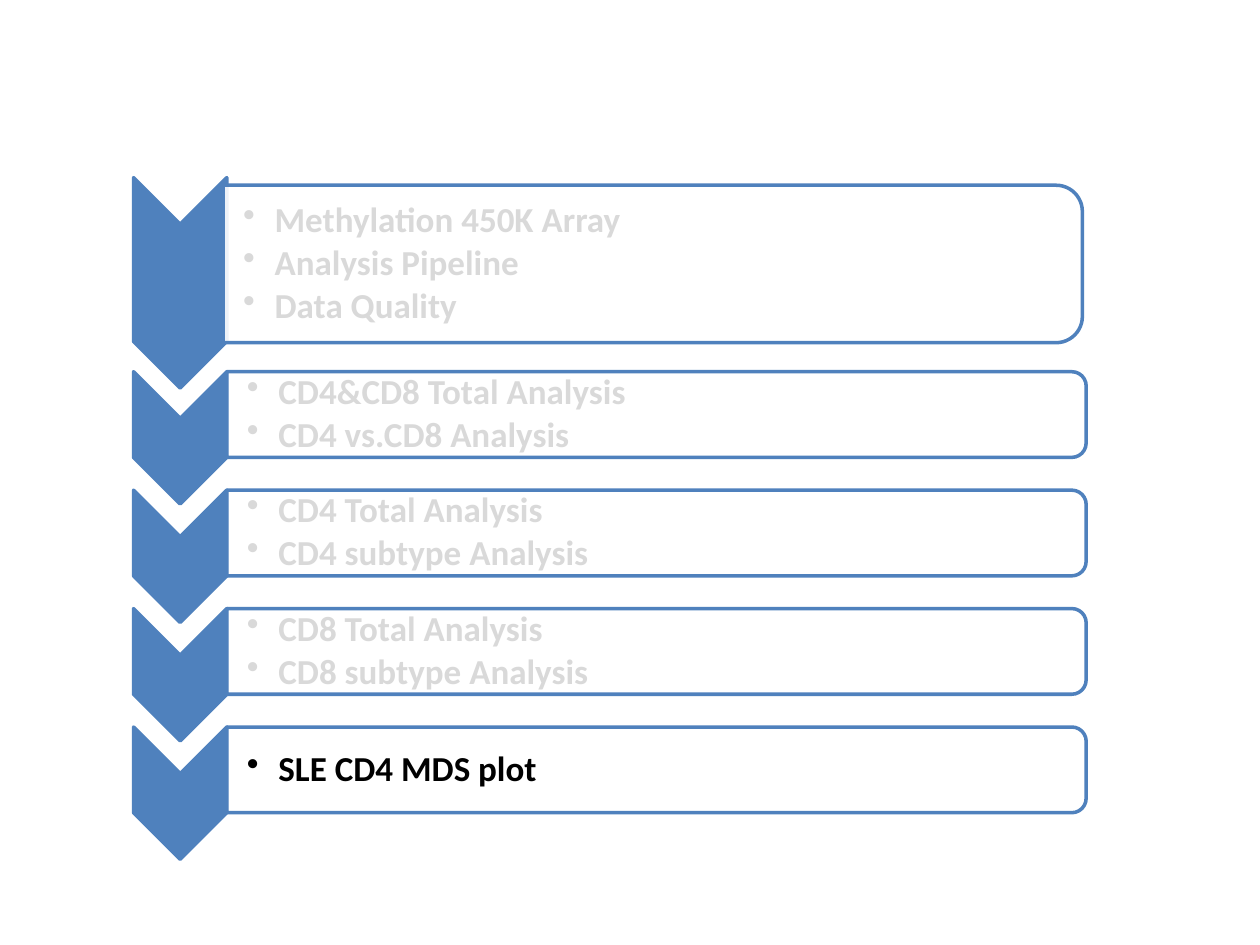
from lxml import etree
from pptx import Presentation
from pptx.dml.color import RGBColor
from pptx.enum.shapes import MSO_SHAPE
from pptx.enum.text import MSO_ANCHOR
from pptx.oxml.ns import qn
from pptx.util import Inches, Pt

CHEVRON = MSO_SHAPE.CHEVRON
ROUND = MSO_SHAPE.ROUND_2_SAME_RECTANGLE
MIDDLE = MSO_ANCHOR.MIDDLE

THEME = {
    "blue": RGBColor(0x4F, 0x81, 0xBD),
    "white": RGBColor(0xFF, 0xFF, 0xFF),
    "faded": RGBColor(0xD9, 0xD9, 0xD9),
    "active": RGBColor(0, 0, 0),
    "font": "Calibri",
    "size": Pt(20),
    "line": Pt(2),
    "gap": Pt(3),
}

STEPS = [
    ("faded", ["Methylation 450K Array", "Analysis Pipeline", "Data Quality"]),
    ("faded", ["CD4&CD8 Total Analysis", "CD4 vs.CD8 Analysis"]),
    ("faded", ["CD4 Total Analysis", "CD4 subtype Analysis"]),
    ("faded", ["CD8 Total Analysis", "CD8 subtype Analysis"]),
    ("active", ["SLE CD4 MDS plot"]),
]

# Sizes in inches; "lift" is how far the panel sits below the arrow's top
TALL = {"arrow": 1.67, "panel": 1.25, "pad": 0.06, "left": 1.77, "lift": 0.06}
SHORT = {"arrow": 1.05, "panel": 0.68, "pad": 0.03, "left": 1.8, "lift": 0}
ARROW_LEFT, ARROW_WIDTH, PANEL_WIDTH = 1.06, 0.74, 6.82
FIRST_TOP, NEXT_TOP, PITCH = 1.41, 2.95, 0.94


def add_turned(slide, kind, left, top, width, height, fill):
    """Add a shape turned 90 degrees that covers the given box once turned."""
    x = left + (width - height) / 2
    y = top + (height - width) / 2
    shape = slide.shapes.add_shape(
        kind, Inches(x), Inches(y), Inches(height), Inches(width))
    shape.rotation = 90
    shape.shadow.inherit = False
    shape.fill.solid()
    shape.fill.fore_color.rgb = fill
    shape.line.color.rgb = THEME["blue"]
    shape.line.width = THEME["line"]
    return shape


def set_alpha(shape, percent):
    color = shape._element.spPr.find(qn("a:solidFill"))[0]
    etree.SubElement(color, qn("a:alpha"), val=str(percent * 1000))


def add_bullet(para):
    props = para._p.get_or_add_pPr()
    props.set("marL", str(Inches(0.25)))
    props.set("indent", str(-Inches(0.25)))
    etree.SubElement(props, qn("a:buChar"), char="•")


def add_list(slide, left, top, width, height, items, color):
    box = slide.shapes.add_textbox(
        Inches(left), Inches(top), Inches(width), Inches(height))
    frame = box.text_frame
    frame.word_wrap = True
    frame.vertical_anchor = MIDDLE
    frame.margin_left = Inches(0.16)
    frame.margin_top = frame.margin_right = frame.margin_bottom = Inches(0.01)
    for i, item in enumerate(items):
        para = frame.add_paragraph() if i else frame.paragraphs[0]
        para.level = 1
        para.line_spacing = 0.9
        para.space_after = THEME["gap"]
        add_bullet(para)
        run = para.add_run()
        run.text = item
        run.font.name = THEME["font"]
        run.font.size = THEME["size"]
        run.font.bold = True
        run.font.color.rgb = color


def add_step(slide, top, dims, items, color):
    add_turned(slide, CHEVRON, ARROW_LEFT, top, ARROW_WIDTH, dims["arrow"],
               THEME["blue"])
    left, pad, height = dims["left"], dims["pad"], dims["panel"]
    top += dims["lift"]
    panel = add_turned(slide, ROUND, left, top, PANEL_WIDTH, height,
                       THEME["white"])
    set_alpha(panel, 90)
    add_list(slide, left, top + pad, PANEL_WIDTH - pad, height - 2 * pad,
             items, color)


def main():
    deck = Presentation()
    deck.slide_width, deck.slide_height = Inches(10), Inches(7.5)
    slide = deck.slides.add_slide(deck.slide_layouts[6])
    for i, (tone, items) in enumerate(STEPS):
        top = NEXT_TOP + (i - 1) * PITCH if i else FIRST_TOP
        add_step(slide, top, SHORT if i else TALL, items, THEME[tone])
    deck.save("out.pptx")


if __name__ == "__main__":
    main()
